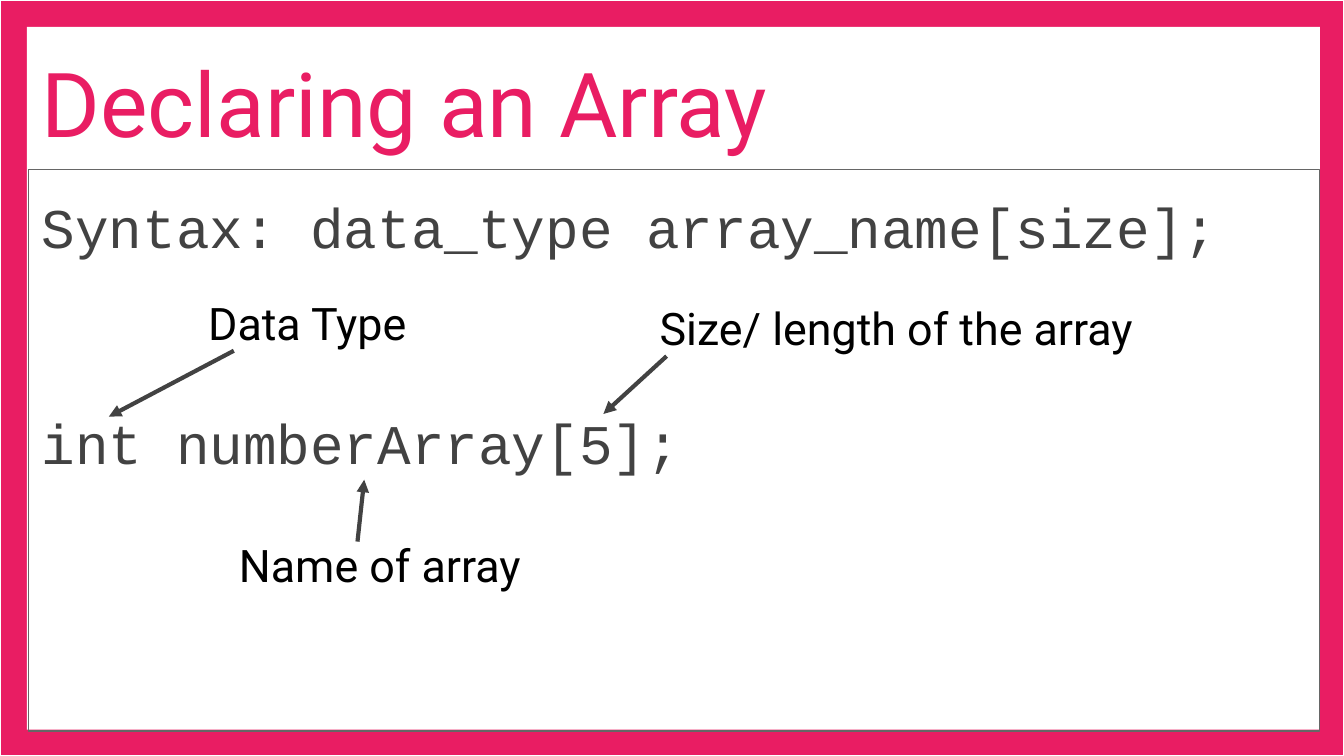
"""Build a slide that explains how an array is declared."""
from lxml import etree
from pptx import Presentation
from pptx.dml.color import RGBColor
from pptx.enum.shapes import MSO_CONNECTOR, MSO_SHAPE
from pptx.enum.text import MSO_ANCHOR, MSO_AUTO_SIZE, PP_ALIGN
from pptx.oxml.ns import qn
from pptx.util import Inches, Pt

RECT = MSO_SHAPE.RECTANGLE
STRAIGHT = MSO_CONNECTOR.STRAIGHT
TOP, BOTTOM = MSO_ANCHOR.TOP, MSO_ANCHOR.BOTTOM
LEFT = PP_ALIGN.LEFT
NO_FIT = MSO_AUTO_SIZE.NONE

WIDTH = 10
HEIGHT = WIDTH * 9 / 16

COLORS = {
    "pink": "E91D63",
    "white": "FFFFFF",
    "dark": "424242",
    "gray": "666666",
    "black": "000000",
}
TEXT_FONT, CODE_FONT = "Roboto", "Courier New"

LABELS = [
    ("Size/ length of the array", (4.81, 2.14, 4.13, 0.8), (4.96, 2.65), (4.49, 3.08)),
    ("Name of array", (1.68, 3.9, 2.36, 0.8), (2.66, 4.03), (2.71, 3.57)),
    ("Data Type", (1.45, 2.1, 1.82, 0.59), (1.74, 2.61), (0.81, 3.1)),
]


def color(name):
    return RGBColor.from_string(COLORS[name])


def place(sp, box):
    sp.left, sp.top, sp.width, sp.height = map(Inches, box)


def set_frame(tf, anchor=TOP):
    tf.word_wrap = True
    tf.auto_size = NO_FIT
    tf.vertical_anchor = anchor
    tf.margin_left = tf.margin_right = Inches(0.1)
    tf.margin_top = tf.margin_bottom = Inches(0.1)


def set_paragraph(p, text, font, size, color_name):
    p.text = text
    p.alignment = LEFT
    for r in p.runs:
        r.font.name = font
        r.font.size = Pt(size)
        r.font.color.rgb = color(color_name)


def add_panel(slide, box, fill, line=None):
    sp = slide.shapes.add_shape(RECT, *map(Inches, box))
    sp.shadow.inherit = False
    sp.fill.solid()
    sp.fill.fore_color.rgb = color(fill)
    if line:
        sp.line.color.rgb = color(line)
        sp.line.width = Pt(0.75)
    else:
        sp.line.fill.background()
    return sp


def add_border(slide):
    panels = [
        add_panel(slide, (0, 0, WIDTH, HEIGHT), "pink", "white"),
        add_panel(slide, (0.2, 0.2, 9.62, 5.23), "white"),
    ]
    tree = slide.shapes.title.element.getparent()
    for i, sp in enumerate(panels):
        tree.insert(2 + i, sp.element)


def set_title(slide, text):
    sp = slide.shapes.title
    place(sp, (0.21, 0.19, 9.67, 1.07))
    set_frame(sp.text_frame, BOTTOM)
    set_paragraph(sp.text_frame.paragraphs[0], text, TEXT_FONT, 48, "pink")


def set_code(slide, lines, gap):
    sp = slide.placeholders[1]
    place(sp, (0.21, 1.26, 9.61, 4.18))
    sp.line.color.rgb = color("gray")
    sp.line.width = Pt(0.75)
    tf = sp.text_frame
    set_frame(tf)
    for i, line in enumerate(lines):
        p = tf.add_paragraph() if i else tf.paragraphs[0]
        set_paragraph(p, line, CODE_FONT, 30, "dark")
        p.line_spacing = 1.15
        p.space_before = Pt(gap if i else 0)
        pPr = p._p.get_or_add_pPr()
        pPr.set("marL", "0")
        pPr.set("indent", "0")
        etree.SubElement(pPr, qn("a:buNone"))


def add_label(slide, text, box):
    tb = slide.shapes.add_textbox(*map(Inches, box))
    set_frame(tb.text_frame)
    set_paragraph(tb.text_frame.paragraphs[0], text, TEXT_FONT, 24, "black")


def add_arrow(slide, start, end):
    cxn = slide.shapes.add_connector(STRAIGHT, *map(Inches, start + end))
    cxn.line.color.rgb = color("dark")
    cxn.line.width = Pt(2.25)
    etree.SubElement(cxn.line._get_or_add_ln(), qn("a:tailEnd"), type="triangle")
    etree.SubElement(cxn.element.spPr, qn("a:effectLst"))


def main():
    prs = Presentation()
    prs.slide_width, prs.slide_height = Inches(WIDTH), Inches(HEIGHT)
    slide = prs.slides.add_slide(prs.slide_layouts[1])
    add_border(slide)
    set_title(slide, "Declaring an Array")
    set_code(slide, ["Syntax: data_type array_name[size];", "int numberArray[5];"], gap=74)
    for text, box, start, end in LABELS:
        add_label(slide, text, box)
        add_arrow(slide, start, end)
    prs.save("out.pptx")


if __name__ == "__main__":
    main()
